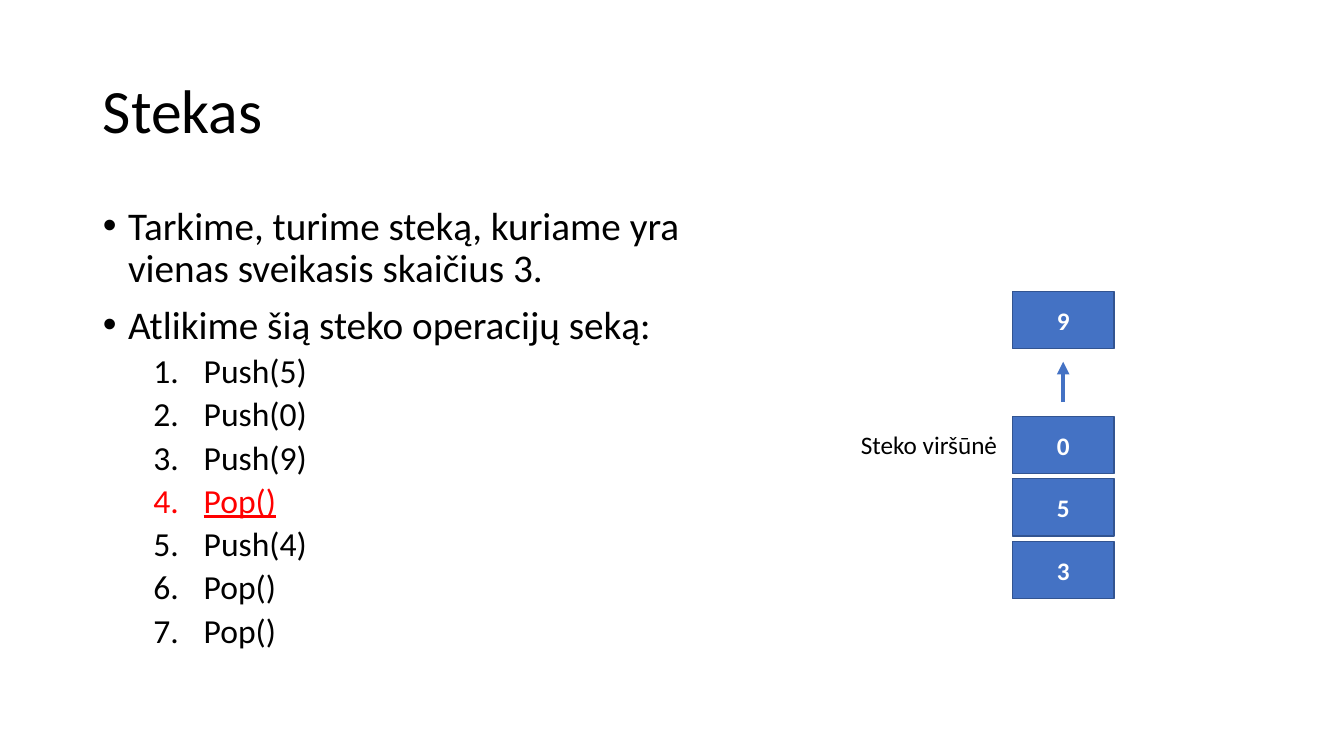
from dataclasses import dataclass

from lxml.etree import SubElement
from pptx import Presentation
from pptx.dml.color import RGBColor
from pptx.enum.shapes import MSO_CONNECTOR, MSO_SHAPE
from pptx.enum.text import MSO_ANCHOR, MSO_AUTO_SIZE, PP_ALIGN
from pptx.oxml.ns import qn
from pptx.util import Inches, Pt

BLACK, WHITE, RED = "000000", "FFFFFF", "FF0000"
BLUE, DARK_BLUE = "4472C4", "325491"
CELL_LEFT, CELL_WIDTH, CELL_HEIGHT = 10.04, 1.01, 0.57
BOTTOM_CELL_TOP, CELL_STEP = 5.37, 0.62


@dataclass
class ListItem:
    text: str
    numbered: bool = True
    color: str = BLACK
    underline: bool = False


@dataclass
class StackCell:
    value: str
    slot: int  # counted upwards from the bottom of the stack


ITEMS = [
    ListItem("Tarkime, turime steką, kuriame yra vienas sveikasis skaičius 3.", numbered=False),
    ListItem("Atlikime šią steko operacijų seką:", numbered=False),
    ListItem("Push(5)"),
    ListItem("Push(0)"),
    ListItem("Push(9)"),
    ListItem("Pop()", color=RED, underline=True),
    ListItem("Push(4)"),
    ListItem("Pop()"),
    ListItem("Pop()"),
]
CELLS = [StackCell("3", 0), StackCell("5", 1), StackCell("0", 2), StackCell("9", 4)]


def rgb(color: str) -> RGBColor:
    return RGBColor.from_string(color)


def place(shape, left: float, top: float, width: float, height: float) -> None:
    box = {"left": left, "top": top, "width": width, "height": height}
    for name, value in box.items():
        setattr(shape, name, Inches(value))


def write(para, text: str, size: float, color: str = BLACK, **formats) -> None:
    span = para.add_run()
    span.text = text
    span.font.color.rgb = rgb(color)
    for name, value in ({"name": "Calibri", "size": Pt(size)} | formats).items():
        setattr(span.font, name, value)


def add_marker(para, numbered: bool) -> None:
    properties = para._p.get_or_add_pPr()
    margin, indent = (1, -0.5) if numbered else (0.25, -0.25)
    properties.set("marL", str(Inches(margin)))
    properties.set("indent", str(Inches(indent)))
    SubElement(properties, qn("a:buFont"), typeface="Calibri" if numbered else "Arial")
    if numbered:
        SubElement(properties, qn("a:buAutoNum"), type="arabicPeriod")
    else:
        SubElement(properties, qn("a:buChar"), char="•")


def add_title(page) -> None:
    title = page.shapes.title
    place(title, 0.92, 0.4, 11.5, 1.45)
    title.text_frame.vertical_anchor = MSO_ANCHOR.MIDDLE
    para = title.text_frame.paragraphs[0]
    para.alignment = PP_ALIGN.LEFT
    para.line_spacing = 0.9
    write(para, "Stekas", 44)


def add_list(page) -> None:
    body = page.placeholders[1]
    place(body, 0.92, 2, 6.88, 4.88)
    frame = body.text_frame
    frame.auto_size = MSO_AUTO_SIZE.NONE
    for index, item in enumerate(ITEMS):
        para = frame.add_paragraph() if index else frame.paragraphs[0]
        add_marker(para, item.numbered)
        spacing = 5 if item.numbered else 10
        formats = {
            "level": int(item.numbered),
            "line_spacing": 0.9,
            "space_before": Pt(spacing if index else 0),
        }
        for name, value in formats.items():
            setattr(para, name, value)
        write(para, item.text, 24 if item.numbered else 28, item.color, underline=item.underline)


def add_cell(page, cell: StackCell) -> None:
    box = page.shapes.add_shape(MSO_SHAPE.RECTANGLE, 0, 0, 0, 0)
    place(box, CELL_LEFT, BOTTOM_CELL_TOP - cell.slot * CELL_STEP, CELL_WIDTH, CELL_HEIGHT)
    box.shadow.inherit = False
    box.fill.solid()
    box.fill.fore_color.rgb = rgb(BLUE)
    box.line.color.rgb = rgb(DARK_BLUE)
    box.line.width = Pt(1)
    box.text_frame.vertical_anchor = MSO_ANCHOR.MIDDLE
    para = box.text_frame.paragraphs[0]
    para.alignment = PP_ALIGN.CENTER
    write(para, cell.value, 18, WHITE, bold=True)


def add_top_label(page) -> None:
    label = page.shapes.add_textbox(Inches(8.44), Inches(4.21), Inches(1.68), Inches(0.4))
    label.text_frame.word_wrap = True
    write(label.text_frame.paragraphs[0], "Steko viršūnė", 18)


def add_pop_arrow(page) -> None:
    center = Inches(CELL_LEFT + CELL_WIDTH / 2)
    arrow = page.shapes.add_connector(
        MSO_CONNECTOR.STRAIGHT, center, Inches(3.99), center, Inches(3.59)
    )
    arrow.line.color.rgb = rgb(BLUE)
    arrow.line.width = Pt(3)
    SubElement(arrow.line._get_or_add_ln(), qn("a:tailEnd"), type="triangle")
    SubElement(arrow._element.spPr, qn("a:effectLst"))


def main() -> None:
    deck = Presentation()
    deck.slide_width, deck.slide_height = Inches(13.33), Inches(7.5)
    page = deck.slides.add_slide(deck.slide_layouts[1])

    # Title and list of operations
    add_title(page)
    add_list(page)

    # Stack diagram
    for cell in CELLS:
        add_cell(page, cell)
    add_top_label(page)
    add_pop_arrow(page)

    deck.save("out.pptx")


if __name__ == "__main__":
    main()
